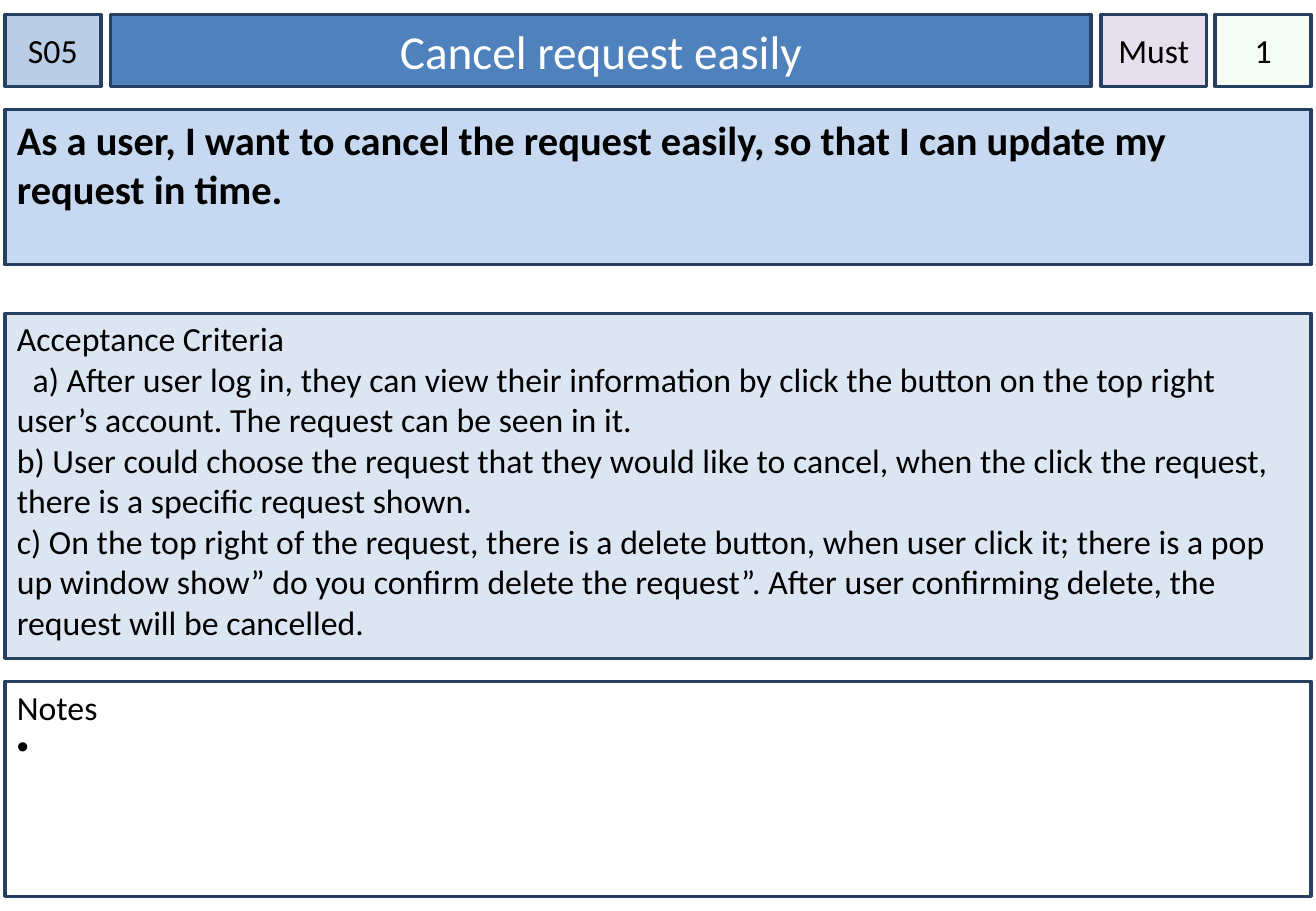
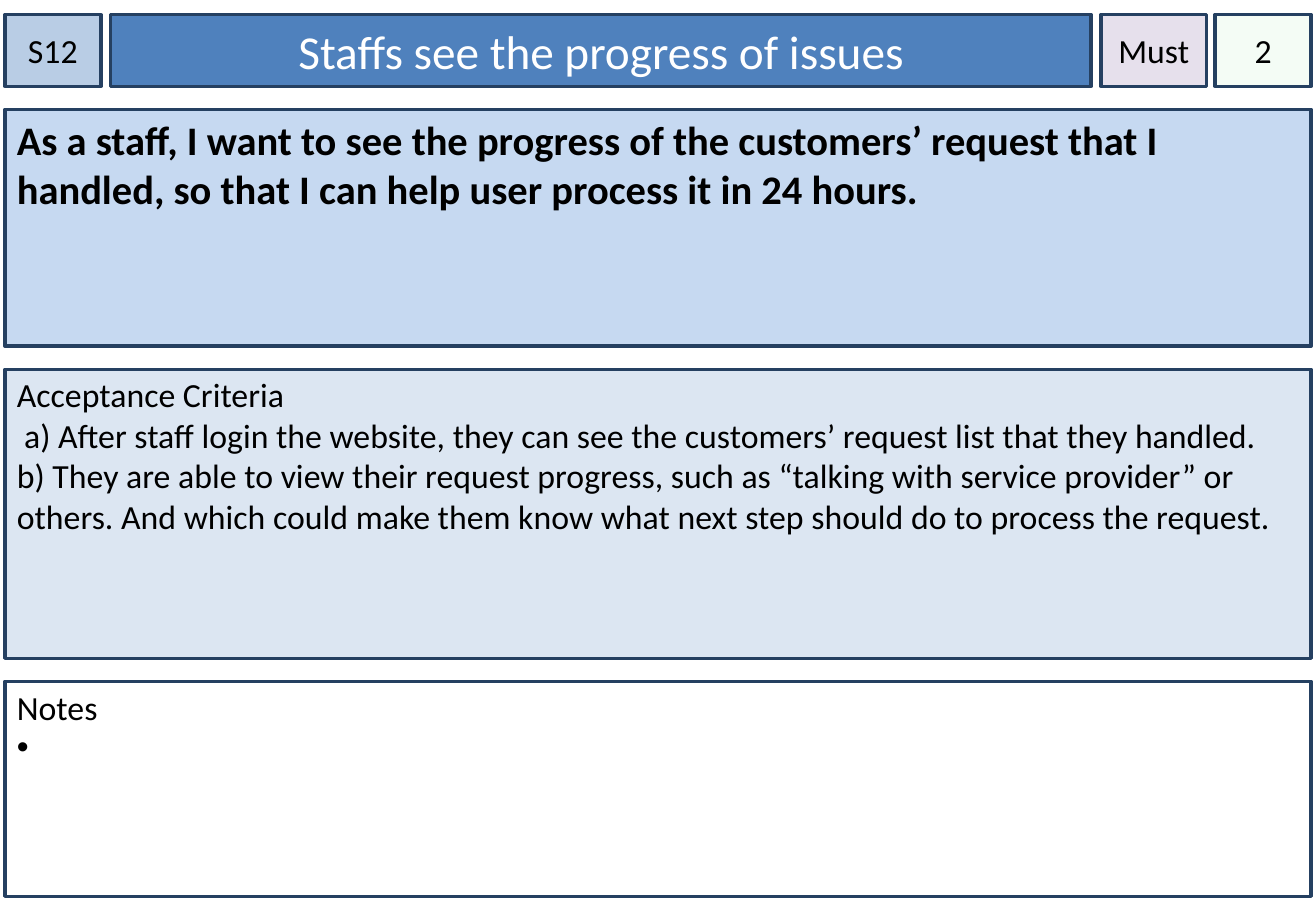
from pptx import Presentation
from pptx.dml.color import RGBColor
from pptx.enum.shapes import MSO_SHAPE
from pptx.enum.text import MSO_ANCHOR, PP_ALIGN
from pptx.oxml.ns import qn
from pptx.util import Inches, Pt
from lxml import etree

RECT = MSO_SHAPE.RECTANGLE
TOP, MIDDLE = MSO_ANCHOR.TOP, MSO_ANCHOR.MIDDLE
LEFT, CENTER = PP_ALIGN.LEFT, PP_ALIGN.CENTER

STORIES = [
    {
        "id": "S05", "title": "Cancel request easily", "priority": "Must", "points": "1",
        "story": "As a user, I want to cancel the request easily, so that I can update my request in time.",
        "story_height": 1.28, "criteria_top": 2.58, "first_indent": 0.13,
        "criteria": [
            "a) After user log in, they can view their information by click the button on the top right user’s account. The request can be seen in it.",
            "b) User could choose the request that they would like to cancel, when the click the request, there is a specific request shown.",
            "c) On the top right of the request, there is a delete button, when user click it; there is a pop up window show” do you confirm delete the request”. After user confirming delete, the request will be cancelled.",
        ],
    },
    {
        "id": "S12", "title": "Staffs see the progress of issues", "priority": "Must", "points": "2",
        "story": "As a staff, I want to see the progress of the customers’ request that I handled, so that I can help user process it in 24 hours.",
        "story_height": 1.95, "criteria_top": 3.04, "first_indent": 0.06,
        "criteria": [
            "a) After staff login the website, they can see the customers’ request list that they handled.",
            "b) They are able to view their request progress, such as “talking with service provider” or others. And which could make them know what next step should do to process the request.",
        ],
    },
]

FONT, BORDER, BLACK, WHITE = "Calibri", "254061", "000000", "FFFFFF"
MARGIN, FULL_WIDTH = 0.04, 10.75
HEADER_TOP, HEADER_HEIGHT = 0.12, 0.59
STORY_TOP, CRITERIA_BOTTOM = 0.9, 5.42
NOTES_TOP, NOTES_HEIGHT = 5.61, 1.77

BADGE = {"size": 20, "anchor": MIDDLE, "align": CENTER, "insets": (0, 0.05, 0, 0.05)}
TITLE = {"size": 28, "color": WHITE, "anchor": MIDDLE, "align": CENTER}
STORY = {"size": 24, "bold": True}
PANEL = {"size": 20, "insets": (0.1, 0.04, 0.1, 0.05)}
HEADER = [
    ("id", MARGIN, 0.79, "B9CDE5", BADGE),
    ("title", 0.91, 8.07, "4F81BD", TITLE),
    ("points", 10, 0.79, "CCF0CD", BADGE | {"alpha": 20}),
    ("priority", 9.06, 0.87, "E6E0EC", BADGE | {"wrap": False}),
]


def rgb(value):
    return RGBColor.from_string(value)


def add_box(slide, box, fill, lines, size, color=BLACK, bold=False, anchor=TOP,
            align=LEFT, insets=(0.1, 0.05, 0.1, 0.05), wrap=True, alpha=None):
    s = slide.shapes.add_shape(RECT, *map(Inches, box))
    s.shadow.inherit = False
    s.fill.solid()
    s.fill.fore_color.rgb = rgb(fill)
    if alpha:
        fill_color = s.element.spPr.find(qn("a:solidFill")).find(qn("a:srgbClr"))
        etree.SubElement(fill_color, qn("a:alpha"), val=str(alpha * 1000))
    s.line.color.rgb = rgb(BORDER)
    s.line.width = Pt(2)
    tf = s.text_frame
    frame = {"word_wrap": wrap, "vertical_anchor": anchor}
    sides = ("margin_left", "margin_top", "margin_right", "margin_bottom")
    frame |= dict(zip(sides, map(Inches, insets)))
    for name, value in frame.items():
        setattr(tf, name, value)
    for i, line in enumerate(lines):
        p = tf.paragraphs[0] if i == 0 else tf.add_paragraph()
        p.alignment = align
        r = p.add_run()
        r.text = line
        for name, value in {"name": FONT, "size": Pt(size), "bold": bold}.items():
            setattr(r.font, name, value)
        r.font.color.rgb = rgb(color)
    return tf


def set_indent(p, left, first, bullet=None):
    pPr = p._p.get_or_add_pPr()
    pPr.set("marL", str(Inches(left)))
    pPr.set("indent", str(Inches(first)))
    if bullet:
        etree.SubElement(pPr, qn("a:buFont"), typeface="Arial")
        etree.SubElement(pPr, qn("a:buChar"), char=bullet)


def add_story(prs, story):
    slide = prs.slides.add_slide(prs.slide_layouts[6])
    for key, left, width, fill, style in HEADER:
        add_box(slide, (left, HEADER_TOP, width, HEADER_HEIGHT), fill, [story[key]], **style)

    top = story["criteria_top"]
    panels = [
        (STORY_TOP, story["story_height"], "C6D9F1", [story["story"]], STORY),
        (top, CRITERIA_BOTTOM - top, "DCE6F2", ["Acceptance Criteria", *story["criteria"]], PANEL),
        (NOTES_TOP, NOTES_HEIGHT, WHITE, ["Notes", " "], PANEL),
    ]
    _, criteria, notes = [
        add_box(slide, (MARGIN, y, FULL_WIDTH, height), fill, lines, **style)
        for y, height, fill, lines, style in panels
    ]
    set_indent(criteria.paragraphs[1], 0, story["first_indent"])
    set_indent(notes.paragraphs[1], 0.2, -0.2, "•")


def main():
    prs = Presentation()
    prs.slide_width, prs.slide_height = Inches(10.83), Inches(7.5)
    for story in STORIES:
        add_story(prs, story)
    prs.save("out.pptx")


if __name__ == "__main__":
    main()
